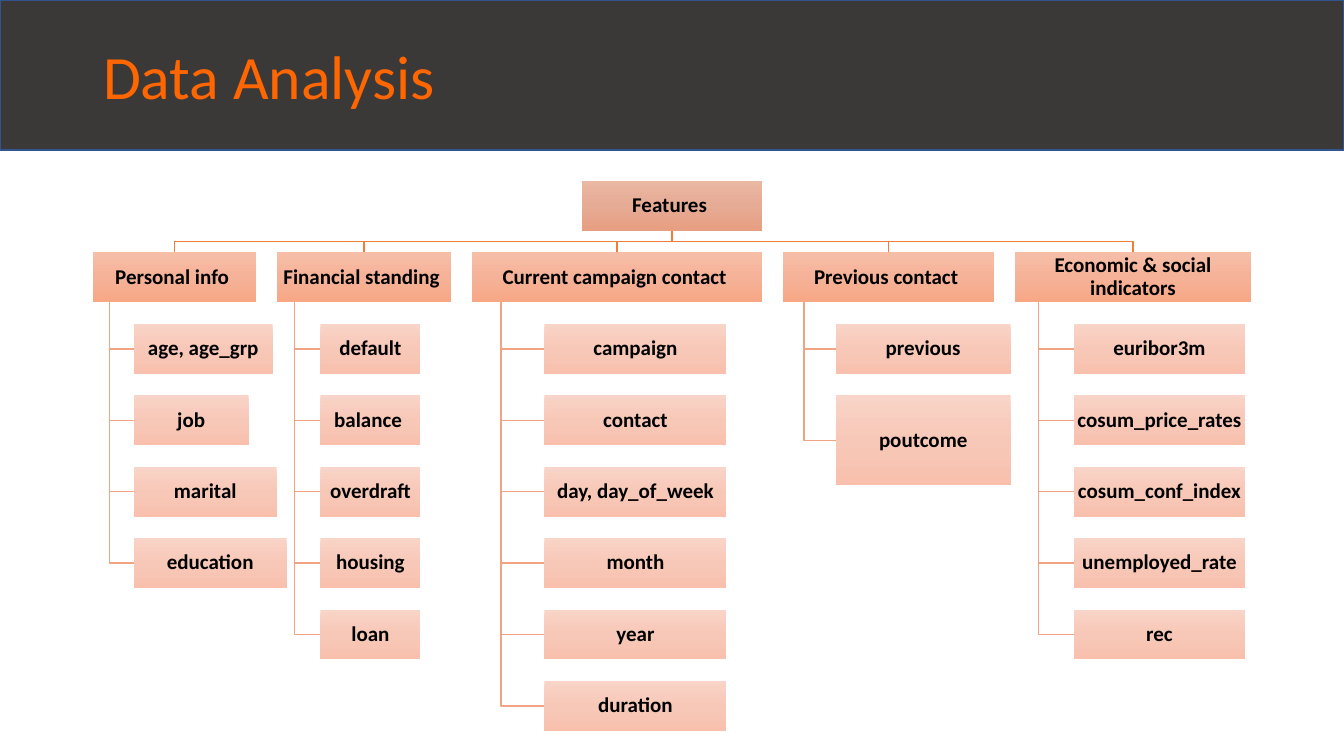
"""Build the Data Analysis slide with its tree of feature groups."""
from copy import deepcopy
from dataclasses import dataclass

from pptx import Presentation
from pptx.dml.color import RGBColor
from pptx.enum.shapes import MSO_SHAPE
from pptx.enum.text import MSO_ANCHOR, PP_ALIGN
from pptx.util import Pt

TITLE = "Data Analysis"
ROOT = "Features "
GROUPS = [
    ("Personal info ", 163,
     [("age, age_grp", 139), ("job", 115), ("marital", 143), ("education", 153)]),
    ("Financial standing ", 174,
     [(name, 100) for name in ("default", "balance ", "overdraft", "housing", "loan")]),
    ("Current campaign contact ", 290,
     [(name, 182) for name in ("campaign", "contact", "day, day_of_week",
                               "month", "year", "duration")]),
    ("Previous contact ", 211, [("previous", 175), ("poutcome", 175)]),
    ("Economic & social indicators", 236,
     [(name, 171) for name in ("euribor3m", "cosum_price_rates", "cosum_conf_index",
                               "unemployed_rate", "rec")]),
]
TALL_HEIGHTS = {"poutcome": 90}

SLIDE_WIDTH, SLIDE_HEIGHT = 1344, 756
BANNER_HEIGHT = 150
TITLE_AREA = (93, 7, 1159, 146)
TREE_LEFT, COLUMN_GAP = 93, 21
FIRST_TOP, LAST_TOP, ROW_STEPS = 181, 681, 7
BOX_HEIGHT, ROOT_WIDTH = 50, 180
STEM_SHARE, LEAF_SHARE = 0.1, 0.25
TEXT_INSET = 1
EMU_PER_PIXEL = 914400 / 100.8


@dataclass(frozen=True)
class Theme:
    font: str = "Calibri"
    title_size: int = 44
    box_size: int = 15
    line_width: int = 1
    title: str = "FF6600"
    text: str = "000000"
    banner: str = "3B3838"
    banner_line: str = "325491"
    branch: str = "ED7F39"
    twig: str = "F1A383"
    root: tuple = ("EAB7A3", "E6AB95", "E79E81")
    group: tuple = ("F7BEA7", "F5B298", "F8A785")
    leaf: tuple = ("F9D4C8", "F7C8B8", "F8C0AD")


THEME = Theme()


def emu(pixels):
    return round(pixels * EMU_PER_PIXEL)


def color(code):
    return RGBColor.from_string(code)


def row_top(row):
    return FIRST_TOP + row * (LAST_TOP - FIRST_TOP) / ROW_STEPS


def add_span(para, text, size, code, bold=False):
    span = para.add_run()
    span.text = text
    span.font.name = THEME.font
    span.font.size = Pt(size)
    span.font.bold = bold
    span.font.color.rgb = color(code)


def add_rectangle(page, left, top, width, height):
    box = page.shapes.add_shape(MSO_SHAPE.RECTANGLE, *map(emu, (left, top, width, height)))
    box.shadow.inherit = False
    return box


def set_gradient(box, codes):
    box.fill.gradient()
    box.fill.gradient_angle = 270
    stop_list = box._element.spPr.xpath(".//a:gsLst")[0]
    stop_list.append(deepcopy(stop_list[0]))
    for index, (stop, code) in enumerate(zip(box.fill.gradient_stops, codes)):
        stop.position = index / 2
        stop.color.rgb = color(code)


def add_box(page, text, left, top, width, height, codes):
    box = add_rectangle(page, left, top, width, height)
    set_gradient(box, codes)
    box.line.fill.background()
    frame = box.text_frame
    frame.word_wrap = True
    frame.vertical_anchor = MSO_ANCHOR.MIDDLE
    frame.margin_left = frame.margin_right = emu(TEXT_INSET)
    frame.margin_top = frame.margin_bottom = emu(TEXT_INSET)
    para = frame.paragraphs[0]
    para.alignment = PP_ALIGN.CENTER
    para.line_spacing = 0.9
    add_span(para, text, THEME.box_size, THEME.text, bold=True)


def add_path(page, points, code):
    start, *rest = [(emu(x), emu(y)) for x, y in points]
    builder = page.shapes.build_freeform(*start)
    builder.add_line_segments(rest, close=False)
    path_line = builder.convert_to_shape()
    path_line.shadow.inherit = False
    path_line.fill.background()
    path_line.line.color.rgb = color(code)
    path_line.line.width = Pt(THEME.line_width)


def add_banner(page):
    banner = add_rectangle(page, 0, 0, SLIDE_WIDTH, BANNER_HEIGHT)
    banner.fill.solid()
    banner.fill.fore_color.rgb = color(THEME.banner)
    banner.line.color.rgb = color(THEME.banner_line)
    banner.line.width = Pt(THEME.line_width)


def add_title(page):
    title = page.shapes.title
    page.shapes._spTree.append(title._element)
    title.left, title.top, title.width, title.height = map(emu, TITLE_AREA)
    title.text_frame.vertical_anchor = MSO_ANCHOR.MIDDLE
    para = title.text_frame.paragraphs[0]
    para.alignment = PP_ALIGN.LEFT
    para.line_spacing = 0.9
    add_span(para, TITLE, THEME.title_size, THEME.title)


def add_tree(page):
    center = SLIDE_WIDTH / 2
    root_bottom, group_top = row_top(0) + BOX_HEIGHT, row_top(1)
    middle = (root_bottom + group_top) / 2
    boxes = [(ROOT, center - ROOT_WIDTH / 2, row_top(0), ROOT_WIDTH, BOX_HEIGHT, THEME.root)]
    left = TREE_LEFT
    for name, width, leaves in GROUPS:
        boxes.append((name, left, group_top, width, BOX_HEIGHT, THEME.group))
        drop = left + width / 2
        add_path(page, [(center, root_bottom), (center, middle),
                        (drop, middle), (drop, group_top)], THEME.branch)
        stem, leaf_left = left + width * STEM_SHARE, left + width * LEAF_SHARE
        for row, (leaf, leaf_width) in enumerate(leaves, start=2):
            height = TALL_HEIGHTS.get(leaf, BOX_HEIGHT)
            top = row_top(row)
            level = top + height / 2
            add_path(page, [(stem, group_top + BOX_HEIGHT), (stem, level),
                            (leaf_left, level)], THEME.twig)
            boxes.append((leaf, leaf_left, top, leaf_width, height, THEME.leaf))
        left += width + COLUMN_GAP
    for box in boxes:
        add_box(page, *box)


deck = Presentation()
deck.slide_width, deck.slide_height = emu(SLIDE_WIDTH), emu(SLIDE_HEIGHT)
page = deck.slides.add_slide(deck.slide_layouts[5])
add_banner(page)
add_title(page)
add_tree(page)
deck.save("out.pptx")
